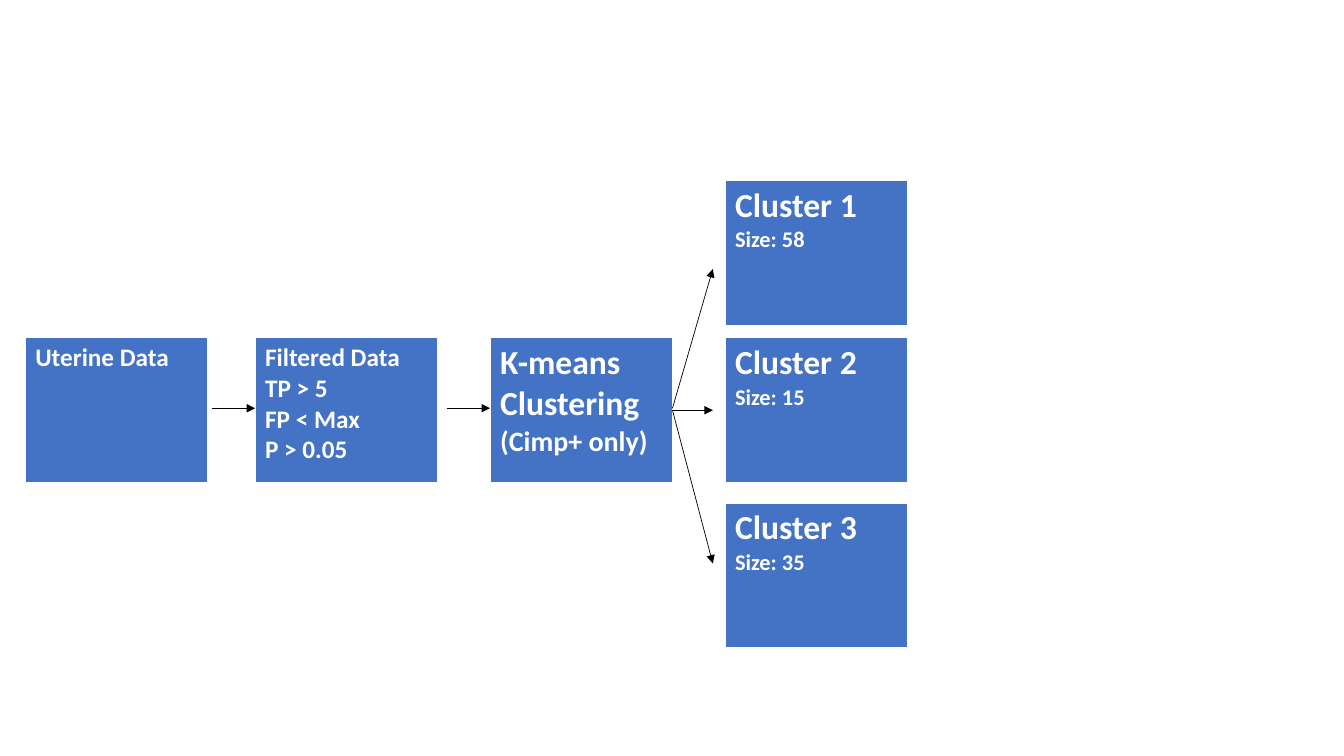
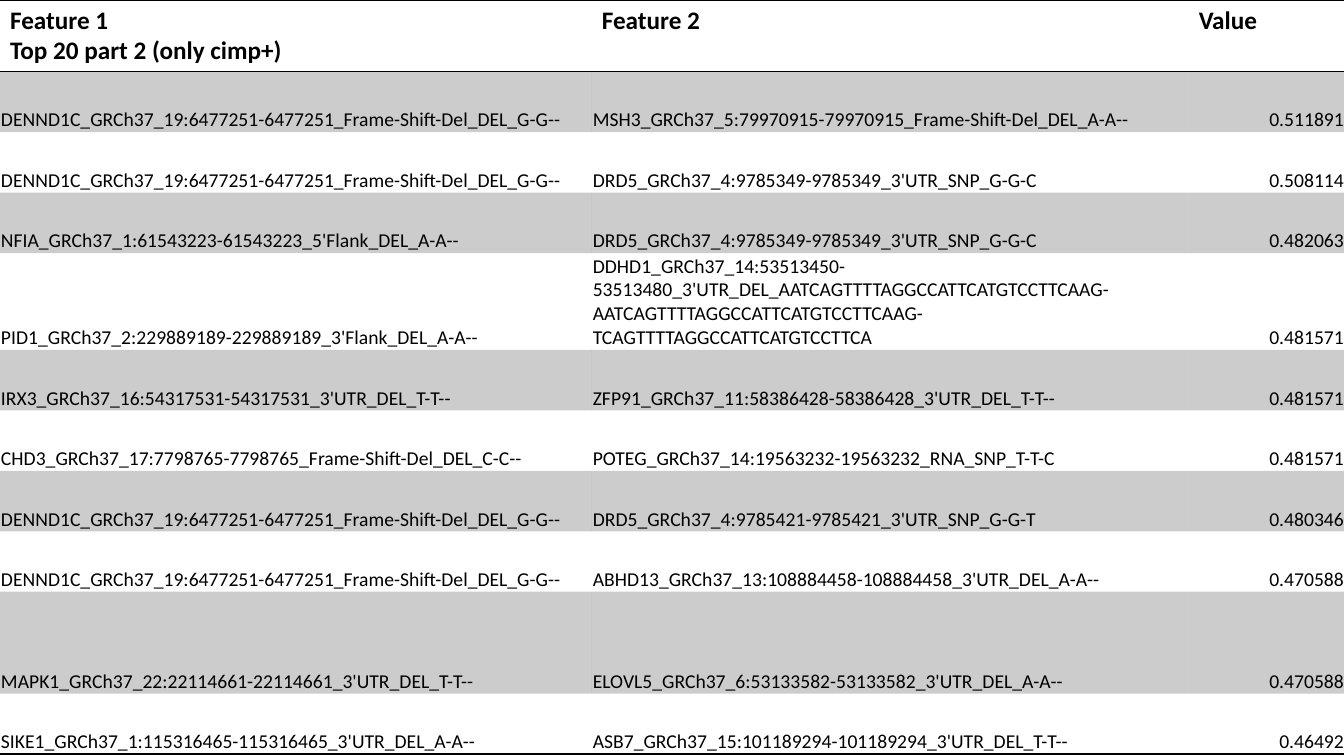
import dataclasses
import typing

import lxml.etree
import pptx
import pptx.dml.color
import pptx.enum.shapes
import pptx.enum.text
import pptx.oxml.ns
import pptx.util

Inches = pptx.util.Inches
Pt = pptx.util.Pt
qn = pptx.oxml.ns.qn

COLOURS = {"box": "4472C4", "light": "FFFFFF", "dark": "000000"}
FONT = "Calibri"
PLAIN_STYLE = "{2D5ABB26-0587-4C30-8999-92F81FD0307C}"
BOX_WIDTH, BOX_HEIGHT = 1.81, 1.45
MIDDLE_TOP = 3.35
BOX_BORDERS = {"L": ("light", 1), "R": ("light", 1), "T": ("light", 1), "B": ("light", 3)}
HEADER_BORDERS = {"T": ("dark", 1), "B": ("dark", 1)}
LAST_BORDERS = {"B": ("dark", 1)}
TIGHT_CELL = {
    "vertical_anchor": pptx.enum.text.MSO_ANCHOR.BOTTOM,
    "margin_left": Inches(0.01),
    "margin_right": Inches(0.01),
    "margin_top": Inches(0.01),
    "margin_bottom": Inches(0),
}
COLUMN_WIDTHS = [5.87, 5.92, 1.55]
HEADER_HEIGHT, ROW_HEIGHT = 0.71, 0.6


@dataclasses.dataclass(frozen=True)
class Line:
    text: str
    size: int
    bold: bool = True


@dataclasses.dataclass(frozen=True)
class Step:
    left: float
    top: float
    lines: list[Line]


@dataclasses.dataclass(frozen=True)
class Arrow:
    start: tuple[float, float]
    end: tuple[float, float]


@dataclasses.dataclass(frozen=True)
class Pair:
    first: str
    second: str
    value: str
    height: float = ROW_HEIGHT


def cluster(number: int, size: int, top: float) -> Step:
    return Step(7.19, top, [Line(f"Cluster {number}", 24), Line(f"Size: {size}", 16)])


STEPS = [
    Step(0.25, MIDDLE_TOP, [Line("Uterine Data", 18)]),
    Step(2.53, MIDDLE_TOP, [
        Line(text, 18) for text in ("Filtered Data", "TP > 5", "FP < Max", "P > 0.05")
    ]),
    Step(4.86, MIDDLE_TOP, [Line("K-means Clustering", 24), Line("(Cimp+ only)", 20)]),
    cluster(1, 58, 1.79),
    cluster(2, 15, MIDDLE_TOP),
    cluster(3, 35, 4.99),
]

ARROWS = [
    Arrow((2.1, 4.05), (2.53, 4.05)),
    Arrow((4.43, 4.05), (4.86, 4.05)),
    Arrow((6.67, 4.05), (7.07, 2.67)),
    Arrow((6.67, 4.07), (7.07, 4.07)),
    Arrow((6.67, 4.07), (7.07, 5.59)),
]

HEADINGS = [["Feature 1", "Top 20 part 2 (only cimp+)"], ["Feature 2"], ["Value"]]
DENND1C = "DENND1C_GRCh37_19:6477251-6477251_Frame-Shift-Del_DEL_G-G--"
DRD5 = "DRD5_GRCh37_4:9785349-9785349_3'UTR_SNP_G-G-C"
DDHD1 = (
    "DDHD1_GRCh37_14:53513450-53513480_3'UTR_DEL_AATCAGTTTTAGGCCATTCATGTCCTTCAAG-"
    "AATCAGTTTTAGGCCATTCATGTCCTTCAAG-TCAGTTTTAGGCCATTCATGTCCTTCA"
)
PAIRS = [
    Pair(DENND1C, "MSH3_GRCh37_5:79970915-79970915_Frame-Shift-Del_DEL_A-A--", "0.511891"),
    Pair(DENND1C, DRD5, "0.508114"),
    Pair("NFIA_GRCh37_1:61543223-61543223_5'Flank_DEL_A-A--", DRD5, "0.482063"),
    Pair("PID1_GRCh37_2:229889189-229889189_3'Flank_DEL_A-A--", DDHD1, "0.481571", 0.96),
    Pair("IRX3_GRCh37_16:54317531-54317531_3'UTR_DEL_T-T--",
         "ZFP91_GRCh37_11:58386428-58386428_3'UTR_DEL_T-T--", "0.481571"),
    Pair("CHD3_GRCh37_17:7798765-7798765_Frame-Shift-Del_DEL_C-C--",
         "POTEG_GRCh37_14:19563232-19563232_RNA_SNP_T-T-C", "0.481571"),
    Pair(DENND1C, "DRD5_GRCh37_4:9785421-9785421_3'UTR_SNP_G-G-T", "0.480346"),
    Pair(DENND1C, "ABHD13_GRCh37_13:108884458-108884458_3'UTR_DEL_A-A--", "0.470588"),
    Pair("MAPK1_GRCh37_22:22114661-22114661_3'UTR_DEL_T-T--",
         "ELOVL5_GRCh37_6:53133582-53133582_3'UTR_DEL_A-A--", "0.470588", 1.01),
    Pair("SIKE1_GRCh37_1:115316465-115316465_3'UTR_DEL_A-A--",
         "ASB7_GRCh37_15:101189294-101189294_3'UTR_DEL_T-T--", "0.46492"),
]


def apply_format(target: typing.Any, values: dict[str, typing.Any]) -> None:
    for name, value in values.items():
        setattr(target, name, value)


def colour(name: str) -> pptx.dml.color.RGBColor:
    return pptx.dml.color.RGBColor.from_string(COLOURS[name])


def add_plain_table(page, left: float, top: float, widths: list[float], heights: list[float]):
    frame = page.shapes.add_table(
        len(heights), len(widths), Inches(left), Inches(top),
        Inches(sum(widths)), Inches(sum(heights)),
    )
    table = frame.table
    apply_format(table, {"first_row": False, "horz_banding": False})
    table._tbl.tblPr.find(qn("a:tableStyleId")).text = PLAIN_STYLE
    for column, width in zip(table.columns, widths):
        column.width = Inches(width)
    for row, height in zip(table.rows, heights):
        row.height = Inches(height)
    return table


def write_cell(cell, lines: list[Line], text_colour: str, align=None) -> None:
    for index, line in enumerate(lines):
        frame = cell.text_frame
        para = frame.paragraphs[0] if index == 0 else frame.add_paragraph()
        para.alignment = align
        span = para.add_run()
        span.text = line.text
        apply_format(span.font, {"name": FONT, "size": Pt(line.size), "bold": line.bold})
        span.font.color.rgb = colour(text_colour)


def add_borders(cell, borders: dict[str, tuple[str, float]]) -> None:
    properties = cell._tc.get_or_add_tcPr()
    for side, (name, width) in borders.items():
        edge = lxml.etree.SubElement(properties, qn(f"a:ln{side}"), w=str(Pt(width)))
        fill = lxml.etree.SubElement(edge, qn("a:solidFill"))
        lxml.etree.SubElement(fill, qn("a:srgbClr"), val=COLOURS[name])


def fill_cell(cell, name: str, opacity: int = 100) -> None:
    cell.fill.solid()
    cell.fill.fore_color.rgb = colour(name)
    if opacity < 100:
        shade = cell._tc.tcPr.find(qn("a:solidFill")).find(qn("a:srgbClr"))
        lxml.etree.SubElement(shade, qn("a:alpha"), val=str(opacity * 1000))


def draw_step(page, step: Step) -> None:
    box = add_plain_table(page, step.left, step.top, [BOX_WIDTH], [BOX_HEIGHT]).cell(0, 0)
    add_borders(box, BOX_BORDERS)
    fill_cell(box, "box")
    write_cell(box, step.lines, "light")


def draw_arrow(page, arrow: Arrow) -> None:
    points = [Inches(value) for value in (*arrow.start, *arrow.end)]
    connector = page.shapes.add_connector(pptx.enum.shapes.MSO_CONNECTOR.STRAIGHT, *points)
    connector.line.width = Pt(0.5)
    connector.line.color.rgb = colour("dark")
    properties = connector._element.spPr
    lxml.etree.SubElement(properties.find(qn("a:ln")), qn("a:tailEnd"), type="triangle")
    lxml.etree.SubElement(properties, qn("a:effectLst"))


def draw_workflow(page) -> None:
    for step in STEPS:
        draw_step(page, step)
    for arrow in ARROWS:
        draw_arrow(page, arrow)


def draw_feature_pairs(page) -> None:
    heights = [HEADER_HEIGHT] + [pair.height for pair in PAIRS]
    table = add_plain_table(page, 0, 0, COLUMN_WIDTHS, heights)
    for column, heading in enumerate(HEADINGS):
        cell = table.cell(0, column)
        add_borders(cell, HEADER_BORDERS)
        cell.fill.background()
        write_cell(cell, [Line(text, 18) for text in heading], "dark")
    for row, pair in enumerate(PAIRS, start=1):
        for column, text in enumerate((pair.first, pair.second, pair.value)):
            cell = table.cell(row, column)
            apply_format(cell, TIGHT_CELL)
            if row == len(PAIRS):
                add_borders(cell, LAST_BORDERS)
            if row % 2:
                fill_cell(cell, "dark", 20)
            else:
                cell.fill.background()
            align = pptx.enum.text.PP_ALIGN.RIGHT if column == 2 else None
            write_cell(cell, [Line(text, 14, False)], "dark", align)


def main() -> None:
    deck = pptx.Presentation()
    apply_format(deck, {"slide_width": Inches(13.33), "slide_height": Inches(7.5)})
    for draw in (draw_workflow, draw_feature_pairs):
        draw(deck.slides.add_slide(deck.slide_layouts[6]))
    deck.save("out.pptx")


if __name__ == "__main__":
    main()
